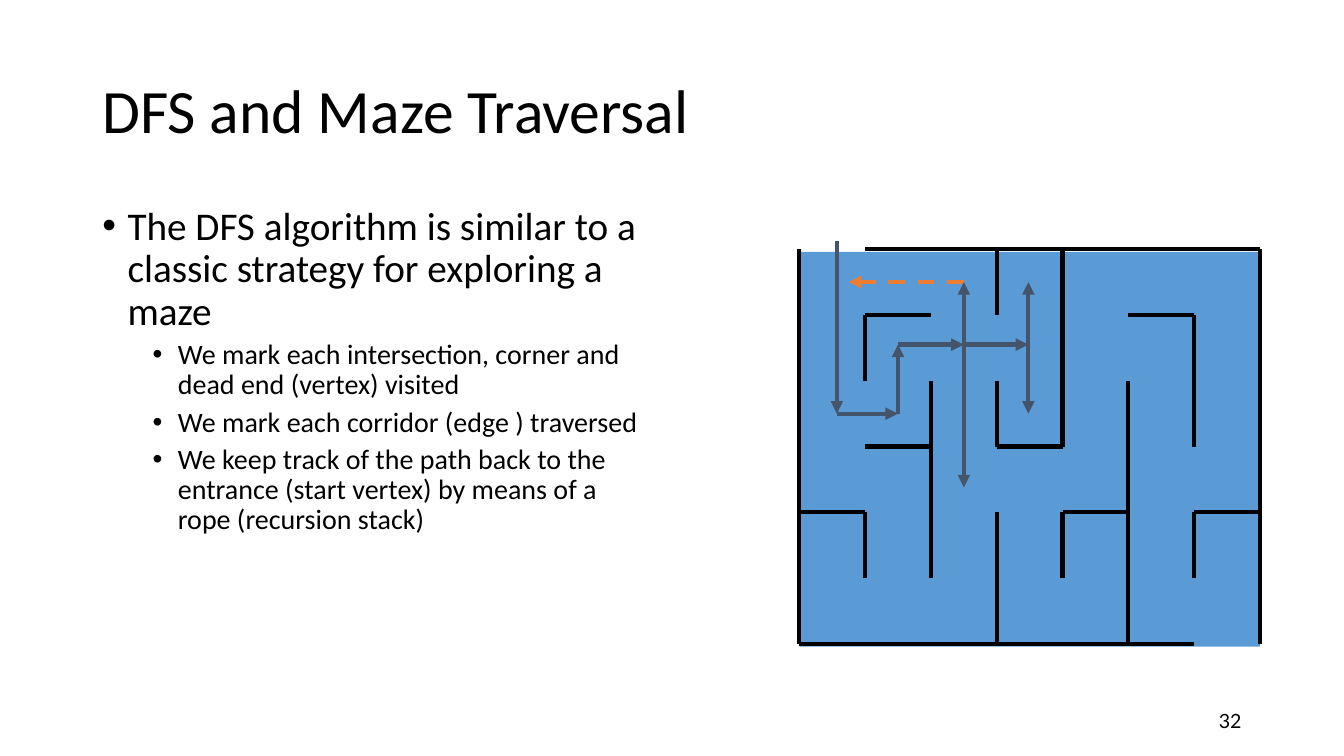
from lxml import etree
from pptx import Presentation
from pptx.dml.color import RGBColor
from pptx.enum.dml import MSO_LINE_DASH_STYLE as Dash
from pptx.enum.shapes import MSO_CONNECTOR as Connector, MSO_SHAPE as Shape
from pptx.enum.text import MSO_ANCHOR as Anchor, PP_ALIGN as Align
from pptx.oxml.ns import qn
from pptx.util import Pt

BLACK = RGBColor(0x00, 0x00, 0x00)
BLUE = RGBColor(0x5B, 0x9B, 0xD5)
SLATE = RGBColor(0x44, 0x54, 0x6A)
ORANGE = RGBColor(0xED, 0x7D, 0x31)

# Content
TITLE = "DFS and Maze Traversal"
BODY = [
    (0, "The DFS algorithm is similar to a classic strategy for exploring a maze"),
    (1, "We mark each intersection, corner and dead end (vertex) visited"),
    (1, "We mark each corridor (edge ) traversed"),
    (1, "We keep track of the path back to the entrance (start vertex) "
        "by means of a rope (recursion stack)"),
]
PAGE_NUMBER = "32"

# Per level: font size, left indent, space before
LEVELS = [(28, 18, 10), (20, 54, 5)]
HANGING = 18

# Maze grid: (column, row) of both ends, in cells
MAZE_LEFT, MAZE_TOP, CELL = 571, 178, 47
COLUMNS, ROWS = 7, 6
WALLS = [
    (0, 0, 0, 6), (7, 0, 7, 6), (1, 0, 7, 0), (0, 6, 6, 6),
    (1, 1, 1, 2), (3, 2, 3, 3), (2, 2, 2, 3), (2, 3, 1, 3),
    (6, 1, 5, 1), (3, 4, 3, 6), (4, 0, 4, 3), (5, 2, 5, 6),
    (7, 4, 6, 4), (6, 4, 6, 5), (4, 3, 3, 3), (2, 1, 1, 1),
    (4, 4, 4, 5), (5, 4, 4, 4), (2, 3, 2, 5), (1, 4, 0, 4),
    (1, 4, 1, 5), (3, 0, 3, 1), (6, 1, 6, 3),
]
ENTRANCE, FIRST, SECOND, THIRD = 0.57, 1.5, 2.5, 3.48
UPPER, MIDDLE, LOWER = 0.5, 1.45, 2.5
BACKTRACK = (SECOND, UPPER, 0.75, UPPER)
STEPS = [
    (ENTRANCE, -0.12, ENTRANCE, LOWER),
    (ENTRANCE, LOWER, FIRST, LOWER),
    (FIRST, LOWER, FIRST, MIDDLE),
    (SECOND, MIDDLE, SECOND, UPPER),
    (FIRST, MIDDLE, SECOND, MIDDLE),
    (SECOND, MIDDLE, THIRD, MIDDLE),
    (THIRD, MIDDLE, THIRD, UPPER),
    (THIRD, MIDDLE, THIRD, LOWER),
    (SECOND, MIDDLE, SECOND, 3.62),
]

presentation = Presentation()
presentation.slide_width, presentation.slide_height = Pt(960), Pt(540)
slide = presentation.slides.add_slide(presentation.slide_layouts[6])


def add_bullet(paragraph, indent):
    properties = paragraph._p.get_or_add_pPr()
    properties.set("marL", str(Pt(indent)))
    properties.set("indent", str(-Pt(HANGING)))
    etree.SubElement(properties, qn("a:buFont"), typeface="Arial")
    etree.SubElement(properties, qn("a:buChar"), char="•")


def add_text(items, left, top, width, height, size=None, font="Calibri",
             align=Align.LEFT, anchor=Anchor.TOP, spacing=0.9, bullets=False):
    """Add a text box with one paragraph for each (level, text) item."""
    frame = slide.shapes.add_textbox(Pt(left), Pt(top), Pt(width), Pt(height)).text_frame
    frame.word_wrap = True
    frame.vertical_anchor = anchor
    for index, (level, text) in enumerate(items):
        paragraph = frame.add_paragraph() if index else frame.paragraphs[0]
        level_size, indent, before = LEVELS[level]
        paragraph.level = level
        paragraph.alignment = align
        paragraph.line_spacing = spacing
        paragraph.space_before = Pt(before if index else 0)
        if bullets:
            add_bullet(paragraph, indent)
        run = paragraph.add_run()
        run.text = text
        run.font.size = Pt(size or level_size)
        run.font.name = font
        run.font.color.rgb = BLACK


def add_maze_line(ends, color, arrow=False, dashed=False):
    column1, row1, column2, row2 = ends
    line = slide.shapes.add_connector(
        Connector.STRAIGHT,
        Pt(MAZE_LEFT + column1 * CELL), Pt(MAZE_TOP + row1 * CELL),
        Pt(MAZE_LEFT + column2 * CELL), Pt(MAZE_TOP + row2 * CELL))
    line.line.color.rgb = color
    line.line.width = Pt(3)
    if dashed:
        line.line.dash_style = Dash.DASH
    if arrow:
        etree.SubElement(line.line._get_or_add_ln(), qn("a:tailEnd"), type="triangle")
    etree.SubElement(line._element.spPr, qn("a:effectLst"))


# Text
add_text([(0, TITLE)], 66, 29, 828, 104, size=44, anchor=Anchor.MIDDLE)
add_text(BODY, 66, 144, 408, 343, bullets=True)
add_text([(0, PAGE_NUMBER)], 678, 500.5, 216, 29, size=14, font="Lato",
         align=Align.RIGHT, anchor=Anchor.MIDDLE, spacing=1.0)

# Maze floor, slightly below the wall grid
floor = slide.shapes.add_shape(Shape.RECTANGLE, Pt(MAZE_LEFT), Pt(MAZE_TOP + 2),
                               Pt(COLUMNS * CELL), Pt(ROWS * CELL))
floor.shadow.inherit = False
floor.fill.solid()
floor.fill.fore_color.rgb = BLUE
floor.line.fill.background()

# Walls, way back and search path
for wall in WALLS:
    add_maze_line(wall, BLACK)
add_maze_line(BACKTRACK, ORANGE, arrow=True, dashed=True)
for step in STEPS:
    add_maze_line(step, SLATE, arrow=True)

presentation.save("out.pptx")
